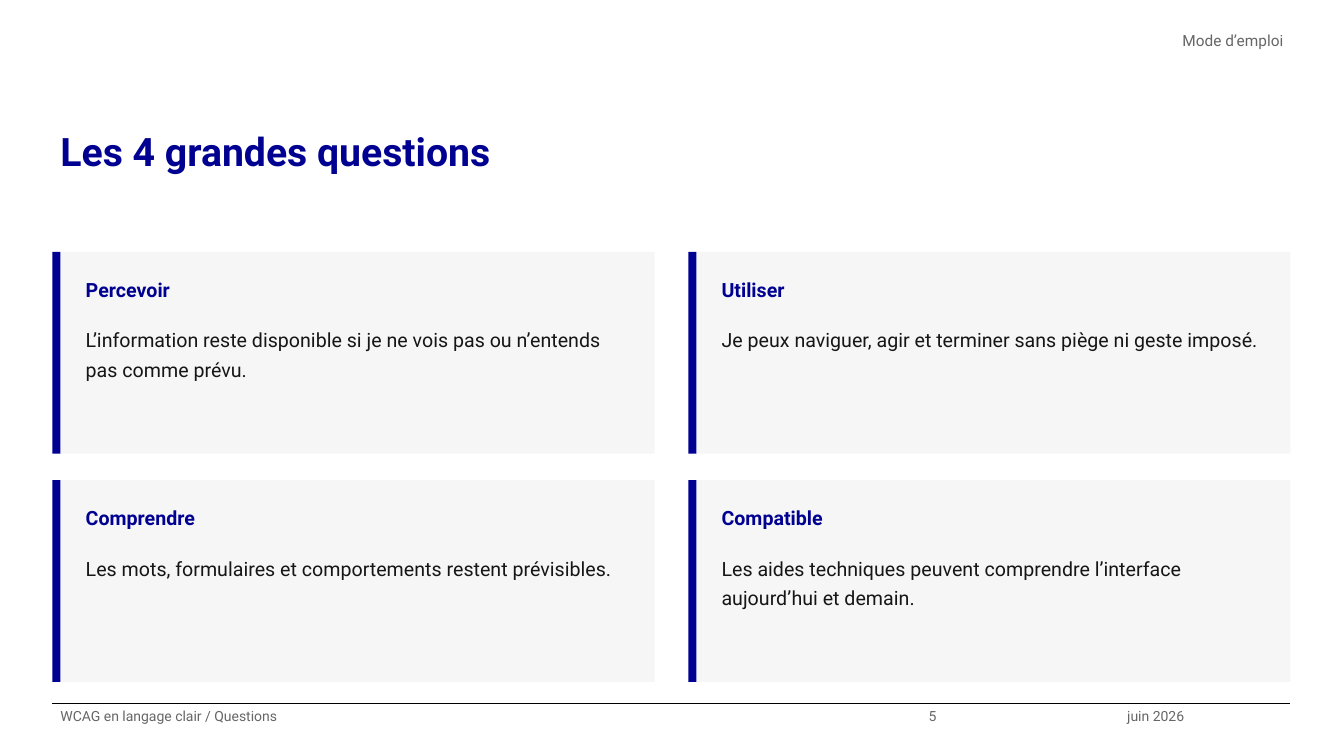
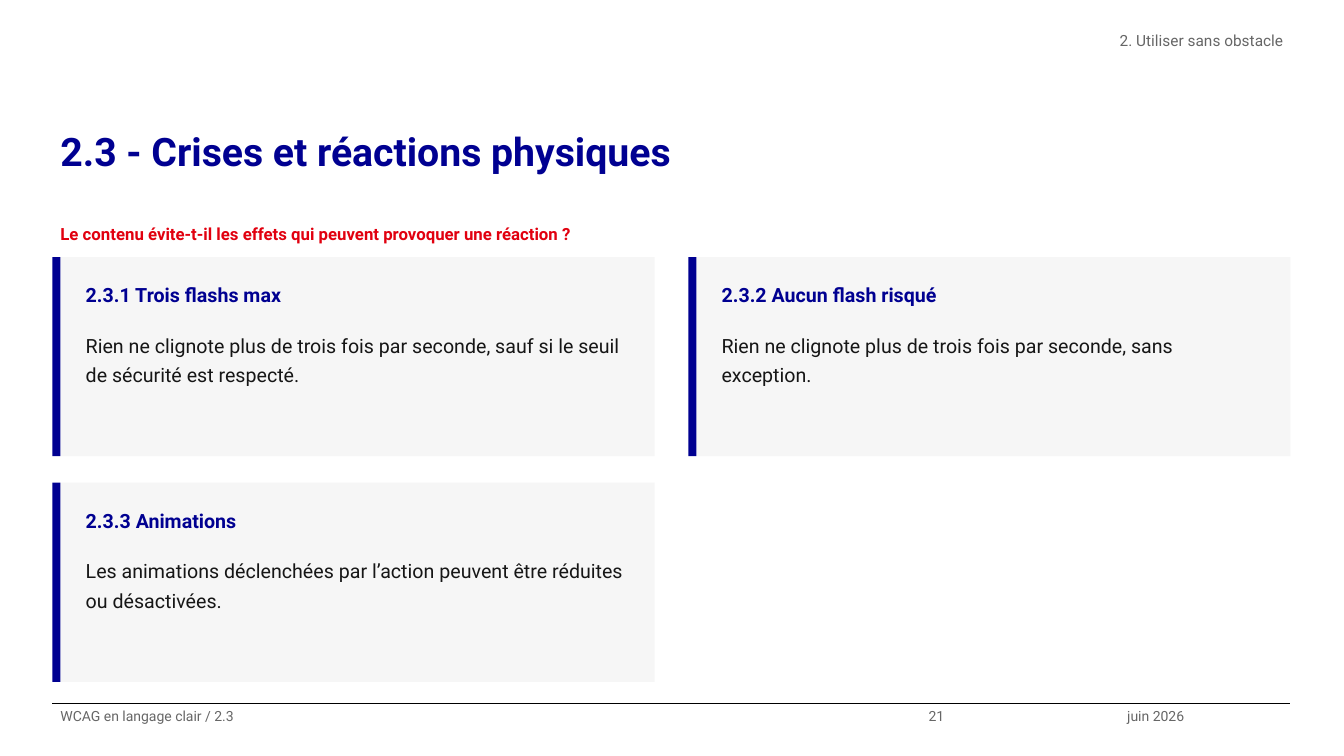
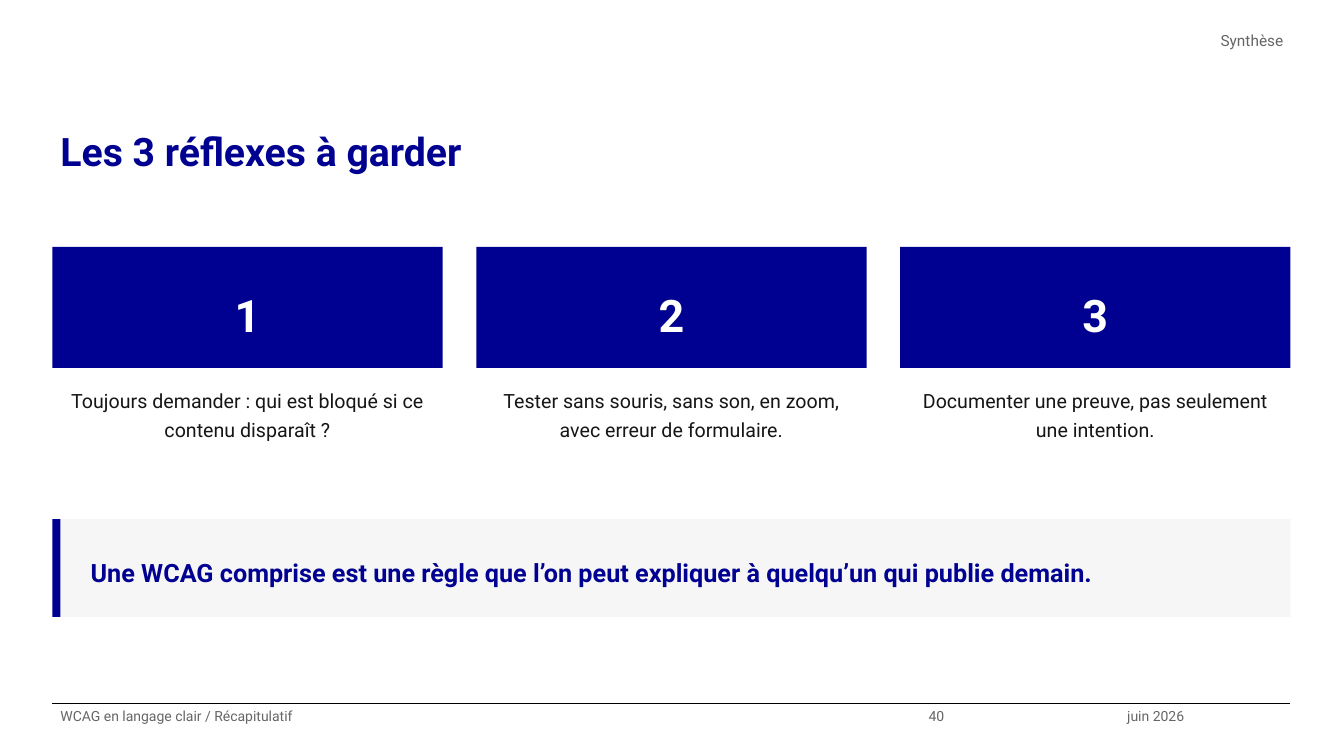
from dataclasses import dataclass
from typing import NamedTuple

from pptx import Presentation
from pptx.dml.color import RGBColor as Rgb
from pptx.enum.shapes import MSO_CONNECTOR as Conn, MSO_SHAPE as Form
from pptx.enum.text import MSO_ANCHOR as Anchor, MSO_AUTO_SIZE as Auto, PP_ALIGN as Align
from pptx.oxml.ns import qn
from pptx.shapes.autoshape import Shape
from pptx.slide import Slide
from pptx.text.text import TextFrame as Frame
from pptx.util import Inches, Pt

WIDE, HIGH = Inches(13.33), Inches(7.5)
HUES = {"blue": "000091", "red": "E1000F", "grey": "666666", "ink": "161616",
        "pale": "F6F6F6", "white": "FFFFFF", "black": "000000"}

# Horizontal lengths are percent of the slide's width, vertical ones of its height.
LEFT, SPAN, GAP, BAR = 3.9, 92.12, 2.5, 0.6
FLOOR, ROW_GAP = 90.2, 3.5
FOOT, FOOT_H = 93.07, 6.93
BRAND, DATE = "WCAG en langage clair", "juin 2026"


class Box(NamedTuple):
    x: float
    y: float
    w: float
    h: float

    def emu(self) -> tuple[int, int, int, int]:
        return (round(WIDE * self.x / 100), round(HIGH * self.y / 100),
                round(WIDE * self.w / 100), round(HIGH * self.h / 100))


class Look(NamedTuple):
    size: int
    hue: str
    bold: bool = False
    align: Align = Align.LEFT
    anchor: Anchor = Anchor.TOP
    pad: float = 0.05
    grow: bool = True


TITLE = Look(28, "blue", True, pad=0, grow=False)
HEAD = Look(11, "grey", align=Align.RIGHT, pad=0, grow=False)
SMALL = Look(10, "grey", pad=0, grow=False)
ASK = Look(12, "red", True)
NAME = Look(14, "blue", True)
BODY = Look(14, "ink")
STEP = BODY._replace(align=Align.CENTER)
DIGIT = Look(32, "white", True, Align.CENTER, Anchor.MIDDLE, grow=False)
QUOTE = Look(18, "blue", True, anchor=Anchor.MIDDLE)


class Card(NamedTuple):
    name: str
    body: str


@dataclass
class Page:
    title: str
    head: str
    label: str
    num: int


def color(hue: str) -> Rgb:
    return Rgb.from_string(HUES[hue])


def column(count: int, pos: int) -> tuple[float, float]:
    """Left edge and width of one of several equal columns."""
    width = (SPAN - GAP * (count - 1)) / count
    return LEFT + pos * (width + GAP), width


def write(frame: Frame, text: str, look: Look) -> None:
    side, pad = Inches(0.08), Inches(look.pad)
    form = {"word_wrap": True, "vertical_anchor": look.anchor,
            "auto_size": Auto.SHAPE_TO_FIT_TEXT if look.grow else Auto.NONE,
            "margin_left": side, "margin_right": side,
            "margin_top": pad, "margin_bottom": pad}
    para = frame.paragraphs[0]
    run = para.add_run()
    run.text = text
    for item, values in (
        (frame, form),
        (para, {"alignment": look.align, "line_spacing": 1.25}),
        (run.font, {"name": "Roboto", "size": Pt(look.size), "bold": look.bold}),
    ):
        for key, value in values.items():
            setattr(item, key, value)
    run.font.color.rgb = color(look.hue)


def label(slide: Slide, box: Box, text: str, look: Look) -> None:
    write(slide.shapes.add_textbox(*box.emu()).text_frame, text, look)


def block(slide: Slide, box: Box, hue: str) -> Shape:
    shape = slide.shapes.add_shape(Form.RECTANGLE, *box.emu())
    shape.shadow.inherit = False
    shape.fill.solid()
    shape.fill.fore_color.rgb = color(hue)
    shape.line.fill.background()
    return shape


def panel(slide: Slide, box: Box) -> None:
    """Pale block with a blue bar on its left edge."""
    block(slide, box._replace(x=box.x + BAR, w=box.w - BAR), "pale")
    block(slide, box._replace(w=BAR), "blue")


def rule(slide: Slide) -> None:
    x, y, w, _ = Box(LEFT, FOOT, SPAN, 0).emu()
    line = slide.shapes.add_connector(Conn.STRAIGHT, x, y, x + w, y)
    line.line.color.rgb = color("black")
    line.line.width = Pt(0.8)
    props = line._element.spPr
    props.append(props.makeelement(qn("a:effectLst"), {}))


def start(deck: Presentation, page: Page) -> Slide:
    """Add a slide with the title, header and footer that all share."""
    slide = deck.slides.add_slide(deck.slide_layouts[6])
    slide.background.fill.solid()
    slide.background.fill.fore_color.rgb = color("white")
    rule(slide)
    label(slide, Box(LEFT, 15.33, SPAN, 14), page.title, TITLE)
    label(slide, Box(36.23, 3.47, 59.87, FOOT_H), page.head, HEAD)
    for x, w, text in ((LEFT, 64.59, f"{BRAND} / {page.label}"),
                       (68.49, 14.78, str(page.num)), (83.27, 12.83, DATE)):
        label(slide, Box(x, FOOT, w, FOOT_H), text, SMALL)
    return slide


def cards(slide: Slide, top: float, items: list[Card]) -> None:
    """Fill a grid of two columns and two rows from top to the floor."""
    high = (FLOOR - top - ROW_GAP) / 2
    for pos, card in enumerate(items):
        row, col = divmod(pos, 2)
        x, w = column(2, col)
        y = top + row * (high + ROW_GAP)
        panel(slide, Box(x, y, w, high))
        name = Box(x + 1.88, y + 2, w - 3.03, 6)
        label(slide, name, card.name, NAME)
        label(slide, name._replace(y=y + 8.67, h=high - 10.67), card.body, BODY)


def steps(slide: Slide, items: list[str]) -> None:
    for pos, text in enumerate(items):
        x, w = column(len(items), pos)
        tile = block(slide, Box(x, 32.67, w, 16), "blue")
        write(tile.text_frame, str(pos + 1), DIGIT)
        label(slide, Box(x, 50, w, 7.47), text, STEP)


def quote(slide: Slide, text: str) -> None:
    box = Box(LEFT, 68.67, SPAN, 12.93)
    panel(slide, box)
    label(slide, Box(box.x + 2.25, box.y + 1.3, box.w - 3, 10.4), text, QUOTE)


def main() -> None:
    deck = Presentation()
    deck.slide_width, deck.slide_height = WIDE, HIGH

    slide = start(deck, Page("Les 4 grandes questions", "Mode d’emploi", "Questions", 5))
    cards(slide, 33.33, [
        Card("Percevoir", "L’information reste disponible si je ne vois pas ou "
                          "n’entends pas comme prévu."),
        Card("Utiliser", "Je peux naviguer, agir et terminer sans piège ni geste imposé."),
        Card("Comprendre", "Les mots, formulaires et comportements restent prévisibles."),
        Card("Compatible", "Les aides techniques peuvent comprendre l’interface "
                           "aujourd’hui et demain."),
    ])

    slide = start(deck, Page("2.3 - Crises et réactions physiques",
                             "2. Utiliser sans obstacle", "2.3", 21))
    label(slide, Box(LEFT, 28.27, SPAN, 3.73),
          "Le contenu évite-t-il les effets qui peuvent provoquer une réaction ?", ASK)
    cards(slide, 34, [
        Card("2.3.1 Trois flashs max", "Rien ne clignote plus de trois fois par seconde, "
                                       "sauf si le seuil de sécurité est respecté."),
        Card("2.3.2 Aucun flash risqué", "Rien ne clignote plus de trois fois par seconde, "
                                         "sans exception."),
        Card("2.3.3 Animations", "Les animations déclenchées par l’action peuvent être "
                                 "réduites ou désactivées."),
    ])

    slide = start(deck, Page("Les 3 réflexes à garder", "Synthèse", "Récapitulatif", 40))
    steps(slide, [
        "Toujours demander : qui est bloqué si ce contenu disparaît ?",
        "Tester sans souris, sans son, en zoom, avec erreur de formulaire.",
        "Documenter une preuve, pas seulement une intention.",
    ])
    quote(slide, "Une WCAG comprise est une règle que l’on peut expliquer "
                 "à quelqu’un qui publie demain.")

    deck.save("out.pptx")


if __name__ == "__main__":
    main()
